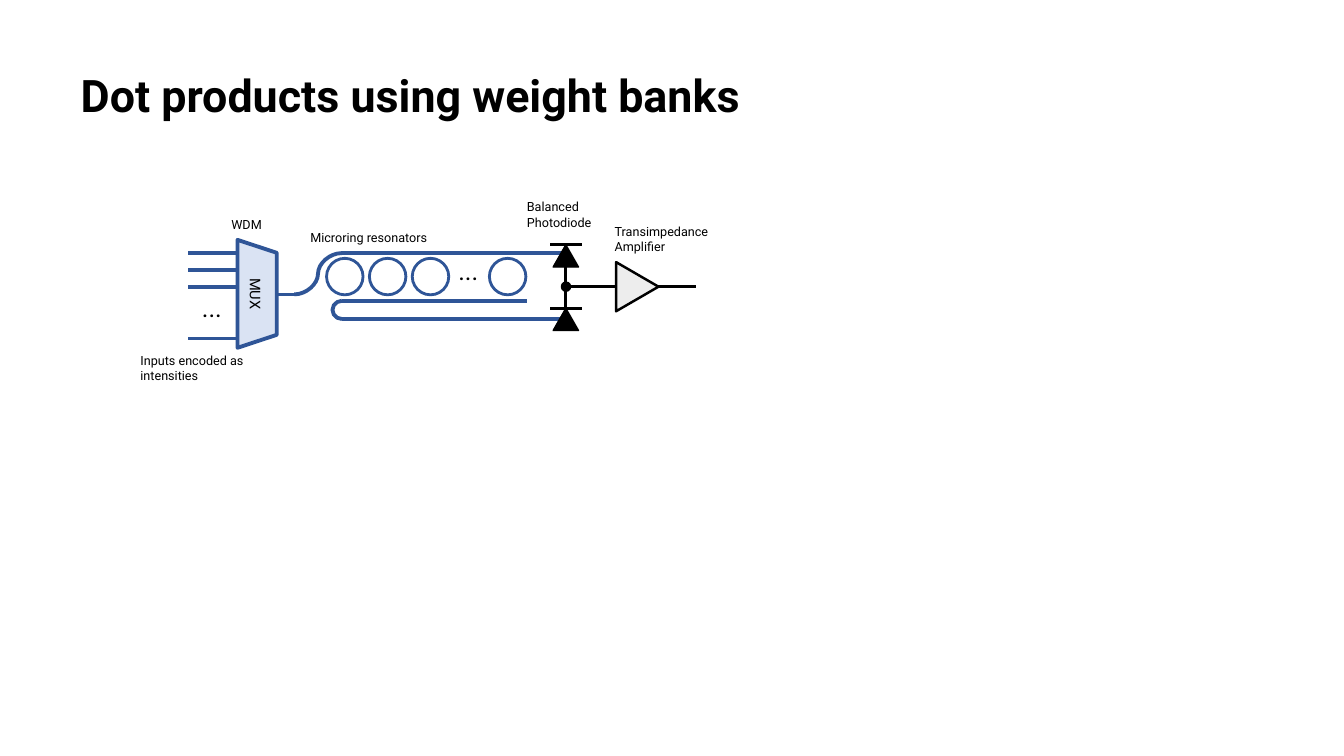
from lxml.etree import SubElement
from pptx import Presentation
from pptx.dml.color import RGBColor
from pptx.enum.shapes import MSO_CONNECTOR, MSO_SHAPE
from pptx.enum.text import MSO_ANCHOR, PP_ALIGN
from pptx.oxml.ns import qn
from pptx.util import Cm, Pt

BLACK = RGBColor(0x00, 0x00, 0x00)
WAVEGUIDE_BLUE = RGBColor(0x2F, 0x55, 0x97)
MUX_FILL = RGBColor(0xDA, 0xE3, 0xF3)
AMPLIFIER_FILL = RGBColor(0xED, 0xED, 0xED)
FONT = "Roboto"
WAVEGUIDE_WIDTH = 2.75
WIRE_WIDTH = 2.25


def write_text(shape, *runs, size=9, bold=False, align=PP_ALIGN.LEFT,
               anchor=MSO_ANCHOR.TOP, wrap=True):
    """Each run is a string, or a (string, size) pair."""
    frame = shape.text_frame
    frame.word_wrap = wrap
    frame.vertical_anchor = anchor
    paragraph = frame.paragraphs[0]
    paragraph.alignment = align
    for item in runs:
        words, run_size = item if isinstance(item, tuple) else (item, size)
        run = paragraph.add_run()
        run.text = words
        run.font.name = FONT
        run.font.size = Pt(run_size)
        run.font.bold = bold
        run.font.color.rgb = BLACK


def add_label(slide, left, top, width, height, *runs, **text_format):
    box = slide.shapes.add_textbox(Cm(left), Cm(top), Cm(width), Cm(height))
    write_text(box, *runs, **text_format)


def add_dots(slide, left, top):
    add_label(slide, left, top, 1.04, 1.02, "...", size=18, wrap=False)


def add_line(slide, x1, y1, x2, y2, color=WAVEGUIDE_BLUE,
             width=WAVEGUIDE_WIDTH, kind=MSO_CONNECTOR.STRAIGHT):
    line = slide.shapes.add_connector(kind, Cm(x1), Cm(y1), Cm(x2), Cm(y2))
    line.line.color.rgb = color
    line.line.width = Pt(width)
    SubElement(line._element.spPr, qn("a:effectLst"))


def add_wire(slide, x1, y1, x2, y2):
    add_line(slide, x1, y1, x2, y2, color=BLACK, width=WIRE_WIDTH)


def add_part(slide, preset, left, top, width, height, fill=None,
             line=BLACK, line_width=1, rotation=0):
    shape = slide.shapes.add_shape(preset, Cm(left), Cm(top), Cm(width), Cm(height))
    shape.shadow.inherit = False
    shape.rotation = rotation
    if fill is None:
        shape.fill.background()
    else:
        shape.fill.solid()
        shape.fill.fore_color.rgb = fill
    shape.line.color.rgb = line
    shape.line.width = Pt(line_width)
    return shape


def place_title(slide, left, top, width, height):
    title = slide.shapes.title
    title.left, title.top = Cm(left), Cm(top)
    title.width, title.height = Cm(width), Cm(height)
    write_text(title, "Dot products using weight banks", size=32, bold=True, wrap=False)


def draw_multiplexer(slide, left, top):
    # Input waveguides, with a gap for the dots
    for step in (0, 1, 2, 5):
        y = top + step * 0.43
        add_line(slide, left, y, left + 1.24, y)
    add_dots(slide, left + 0.1, top + 0.86)
    # Multiplexer
    mux = add_part(slide, MSO_SHAPE.TRAPEZOID, left + 0.38, top + 0.53, 2.72, 0.99,
                   fill=MUX_FILL, line=WAVEGUIDE_BLUE,
                   line_width=WAVEGUIDE_WIDTH, rotation=90)
    mux.adjustments[0] = 0.33
    write_text(mux, "MUX", size=10.5, align=PP_ALIGN.CENTER, anchor=MSO_ANCHOR.MIDDLE)
    # Labels
    add_label(slide, left + 0.84, top - 1.04, 1.42, 0.64, "WDM")
    add_label(slide, left - 1.45, top + 2.39, 3.71, 1.02, "Inputs encoded as intensities")


def draw_weight_bank(slide, left, top):
    # Feed from the multiplexer up to the upper bus
    add_line(slide, left, top + 1.04, left + 0.56, top + 1.04)
    add_line(slide, left + 0.46, top + 1.04, left + 1.65, top, kind=MSO_CONNECTOR.CURVE)
    add_line(slide, left + 1.63, top, left + 7.3, top)
    # Microrings, the last one set apart by the dots
    for step in (0, 1, 2, 3.8):
        add_part(slide, MSO_SHAPE.OVAL, left + 1.27 + step * 1.08, top + 0.13,
                 0.92, 0.92, line=WAVEGUIDE_BLUE, line_width=2)
    add_dots(slide, left + 4.34, top - 0.08)
    # Lower bus: two waveguides joined by a half circle on the left
    bus_top, bus_gap = top + 1.2, 0.46
    add_line(slide, left + 1.65, bus_top, left + 6.33, bus_top)
    bend = add_part(slide, MSO_SHAPE.ARC, left + 1.42, bus_top, 0.48, bus_gap,
                    line=WAVEGUIDE_BLUE, line_width=WAVEGUIDE_WIDTH)
    for index, degrees in enumerate((90, 270)):
        bend.adjustments[index] = degrees * 0.6
    add_line(slide, left + 1.65, bus_top + bus_gap, left + 7.3, bus_top + bus_gap)
    add_label(slide, left + 0.61, top - 0.71, 3.71, 0.64, "Microring resonators")


def draw_photodiodes(slide, left, top):
    for y in (top, top + 1.6):
        add_part(slide, MSO_SHAPE.ISOSCELES_TRIANGLE, left + 0.07, y, 0.64, 0.56, fill=BLACK)
        add_wire(slide, left, y, left + 0.79, y)
    add_wire(slide, left + 0.39, top + 0.48, left + 0.39, top + 1.68)
    # Junction
    add_part(slide, MSO_SHAPE.OVAL, left + 0.28, top + 0.94, 0.23, 0.23, fill=BLACK)
    add_label(slide, left - 0.84, top - 1.35, 3.25, 1.12,
              "Balanced", (" ", 11), "Photodiode")


def draw_amplifier(slide, left, top):
    add_wire(slide, left, top, left + 3.25, top)
    add_part(slide, MSO_SHAPE.ISOSCELES_TRIANGLE, left + 1.14, top - 0.53, 1.24, 1.07,
             fill=AMPLIFIER_FILL, line_width=1.75, rotation=90)
    add_label(slide, left + 0.94, top - 1.7, 3.53, 1.02, "Transimpedance Amplifier")


def main():
    presentation = Presentation()
    presentation.slide_width = Cm(33.87)
    presentation.slide_height = Cm(19.05)
    slide = presentation.slides.add_slide(presentation.slide_layouts[5])

    place_title(slide, 1.78, 1.57, 18.47, 1.63)
    draw_multiplexer(slide, 4.74, 6.38)
    draw_weight_bank(slide, 6.96, 6.38)
    draw_photodiodes(slide, 13.87, 6.17)
    draw_amplifier(slide, 14.3, 7.22)

    presentation.save("out.pptx")


if __name__ == "__main__":
    main()
